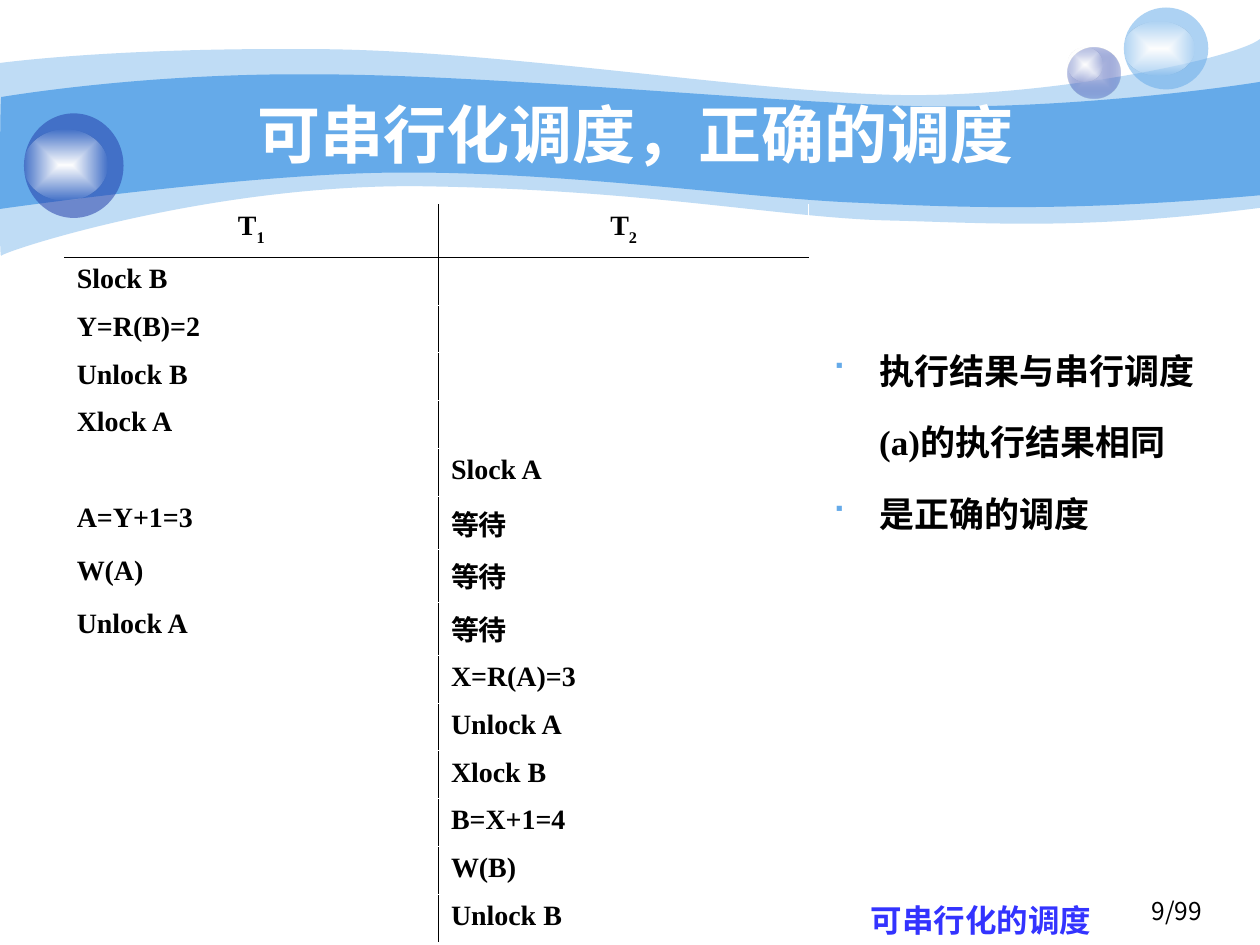
from lxml import etree
from pptx import Presentation
from pptx import util as u
from pptx.dml.color import RGBColor
from pptx.enum import shapes, text
from pptx.oxml import parse_xml
from pptx.oxml import ns

SKY = RGBColor(0x65, 0xAA, 0xE9)
NAVY = RGBColor(0x23, 0x3D, 0xA9)
LAVENDER = RGBColor(0xC7, 0xCE, 0xE9)
BLUE = RGBColor(0x33, 0x33, 0xFF)
BLACK = RGBColor(0, 0, 0)
WHITE = RGBColor(0xFF, 0xFF, 0xFF)

SERIF, SANS, CJK = "Times New Roman", "Arial", "Noto Sans CJK SC"
INDENT = u.Inches(0.38)
UNITS = 100  # freeform units per inch

# Each band: start point, then cubic curves (two controls and an end) or line ends.
OUTER_BAND = [
    (0, 0.5),
    (0.24, 0.47, 1.07, 0.38, 2.47, 0.39), (3.86, 0.39, 5.75, 0.7, 6.99, 0.75),
    (8.22, 0.8, 9.8, 0.47, 10, 0.31), (10, 1.65),
    (8.58, 1.83, 7.87, 1.77, 7.05, 1.75), (6.22, 1.73, 5.15, 1.51, 3.43, 1.48),
    (1.72, 1.44, 0.04, 1.99, 0.01, 2.03), (-0.01, 2.08, 0, 0.75, 0, 0.5),
]
INNER_BAND = [
    (0.01, 0.77),
    (0.02, 0.77, 1.1, 0.58, 2.48, 0.59), (3.86, 0.59, 5.95, 0.8, 7.18, 0.84),
    (8.41, 0.88, 9.76, 0.69, 10, 0.65), (10, 1.55),
    (8.53, 1.68, 7.65, 1.65, 6.82, 1.61), (5.99, 1.58, 4.47, 1.36, 3.17, 1.37),
    (2.03, 1.37, -0.02, 1.66, -0.01, 1.66), (0, 1.66, 0, 0.77, 0.01, 0.77),
]
SCHEDULE = [
    ("Slock B", ""), ("Y=R(B)=2", ""), ("Unlock B", ""), ("Xlock A", ""),
    ("", "Slock A"), ("A=Y+1=3", "等待"), ("W(A)", "等待"), ("Unlock A", "等待"),
    ("", "X=R(A)=3"), ("", "Unlock A"), ("", "Xlock B"), ("", "B=X+1=4"),
    ("", "W(B)"), ("", "Unlock B"),
]


class SlideBuilder:
    def __init__(self, slide):
        self.slide = slide

    def fill(self, shape, color, alpha=100):
        shape.shadow.inherit = False
        shape.line.fill.background()
        shape.fill.solid()
        shape.fill.fore_color.rgb = color
        if alpha < 100:
            solid = shape.element.spPr.find(ns.qn("a:solidFill"))
            etree.SubElement(solid[0], ns.qn("a:alpha")).set("val", str(alpha * 1000))

    def glow(self, shape, center, edge, edge_alpha):
        """Fill from the centre outwards, fading to a transparent edge."""
        self.fill(shape, center)
        solid = shape.element.spPr.find(ns.qn("a:solidFill"))
        solid.getparent().replace(solid, parse_xml(
            f'<a:gradFill {ns.nsdecls("a")} rotWithShape="1"><a:gsLst>'
            f'<a:gs pos="0"><a:srgbClr val="{center}"/></a:gs>'
            f'<a:gs pos="100000"><a:srgbClr val="{edge}">'
            f'<a:alpha val="{edge_alpha * 1000}"/></a:srgbClr></a:gs></a:gsLst>'
            '<a:path path="rect"><a:fillToRect l="50000" t="50000" r="50000" b="50000"/>'
            '</a:path></a:gradFill>'))

    def band(self, segments, alpha=100):
        """Build the outline from its end points, then bend the lines into curves."""
        scaled = [[round(value * UNITS) for value in segment] for segment in segments]
        ends = [segment[-2:] for segment in scaled]
        left, top = (min(values) for values in zip(*ends))
        builder = self.slide.shapes.build_freeform(*ends[0], scale=u.Inches(1) / UNITS)
        builder.add_line_segments(ends[1:], close=True)
        shape = builder.convert_to_shape()
        lines = list(shape.element.spPr.iter(ns.qn("a:lnTo")))
        for line, segment in zip(lines, scaled[1:]):
            if len(segment) == 6:
                points = "".join(f'<a:pt x="{x - left}" y="{y - top}"/>'
                                 for x, y in zip(segment[::2], segment[1::2]))
                line.getparent().replace(line, parse_xml(
                    f'<a:cubicBezTo {ns.nsdecls("a")}>{points}</a:cubicBezTo>'))
        self.fill(shape, SKY, alpha)

    def sphere(self, body, shine, color, alpha, center=None):
        group = self.slide.shapes.add_group_shape()
        ball, light = (group.shapes.add_shape(shapes.MSO_SHAPE.OVAL, *map(u.Inches, box))
                       for box in (body, shine))
        if center is None:
            self.fill(ball, color, alpha)
        else:
            self.glow(ball, center, color, alpha)
        self.glow(light, WHITE, WHITE, 0)

    def style(self, paragraph, size, font=SERIF, color=BLACK, bold=True, align=None):
        paragraph.alignment = align
        paragraph.font.size = u.Pt(size)
        paragraph.font.name = font
        paragraph.font.bold = bold
        paragraph.font.color.rgb = color
        latin = paragraph.font._element.find(ns.qn("a:latin"))
        east_asian = etree.Element(ns.qn("a:ea"))
        east_asian.set("typeface", CJK)
        latin.addnext(east_asian)

    def hang(self, paragraph):
        properties = paragraph._p.get_or_add_pPr()
        properties.set("marL", str(INDENT))
        properties.set("indent", str(-INDENT))
        return properties

    def text_box(self, box, lines, size, wrap=True, anchor=None, bullet=False,
                 hanging=False, **style):
        frame = self.slide.shapes.add_textbox(*map(u.Inches, box)).text_frame
        frame.word_wrap = wrap
        frame.vertical_anchor = anchor
        frame.text = "\n".join(lines)
        for paragraph in frame.paragraphs:
            if hanging or bullet:
                properties = self.hang(paragraph)
            if bullet:
                paragraph.line_spacing = 1.7
                color = etree.SubElement(properties, ns.qn("a:buClr"))
                etree.SubElement(color, ns.qn("a:srgbClr")).set("val", str(SKY))
                etree.SubElement(properties, ns.qn("a:buFont")).set("typeface", "Wingdings")
                etree.SubElement(properties, ns.qn("a:buChar")).set("char", "■")
            self.style(paragraph, size, **style)

    def borders(self, cell, **colors):
        """Draw the named sides (L, R, T, B) and clear the others."""
        properties = cell._tc.get_or_add_tcPr()
        for index, side in enumerate("LRTB"):
            color = colors.get(side)
            paint = (f'<a:solidFill><a:srgbClr val="{color}"/></a:solidFill>'
                     if color is not None else "<a:noFill/>")
            properties.insert(index, parse_xml(
                f'<a:ln{side} {ns.nsdecls("a")} w="{u.Pt(0.45)}">{paint}</a:ln{side}>'))

    def schedule_table(self, left, top, widths, rows):
        heights = [0.42] + [0.42 if "等待" in row else 0.38 for row in rows]
        table = self.slide.shapes.add_table(
            len(heights), len(widths), *map(u.Inches, (left, top, sum(widths), sum(heights)))
        ).table
        table.first_row = table.horz_banding = False
        for column, width in zip(table.columns, widths):
            column.width = u.Inches(width)
        for row, height in zip(table.rows, heights):
            row.height = u.Inches(height)
        for r, values in enumerate([("T", "T")] + rows):
            for c, value in enumerate(values):
                cell = table.cell(r, c)
                cell.fill.background()
                paragraph = cell.text_frame.paragraphs[0]
                self.hang(paragraph)
                if value:
                    paragraph.add_run().text = value
                if r == 0:
                    subscript = paragraph.add_run()
                    subscript.text = str(c + 1)
                    subscript.font._element.set("baseline", "-30000")
                self.style(paragraph, 16 if value else 12,
                           align=text.PP_ALIGN.CENTER if r == 0 else None)
                if not value:
                    end = etree.SubElement(paragraph._p, ns.qn("a:endParaRPr"))
                    end.set("sz", "1200")
                top_color = {0: None, 1: BLACK}.get(r, WHITE)
                sides = {"R": BLACK} if c == 0 else {"L": BLACK, "R": WHITE}
                self.borders(cell, T=top_color, B=WHITE if r else BLACK, **sides)


def main():
    presentation = Presentation()
    presentation.slide_width, presentation.slide_height = u.Inches(10), u.Inches(7.5)
    builder = SlideBuilder(presentation.slides.add_slide(presentation.slide_layouts[6]))

    builder.band(OUTER_BAND, 41)
    builder.band(INNER_BAND)
    builder.sphere((8.47, 0.38, 0.42, 0.4), (8.47, 0.38, 0.28, 0.27), NAVY, 31, LAVENDER)
    builder.sphere((8.92, 0.06, 0.67, 0.65), (8.92, 0.17, 0.56, 0.43), SKY, 53)
    builder.sphere((0.19, 0.9, 0.79, 0.83), (0.19, 1.03, 0.66, 0.56), NAVY, 53)

    builder.text_box((7.31, 7.06, 2.33, 0.39), ["9/99"], 14, font=CJK, bold=False,
                     align=text.PP_ALIGN.RIGHT)
    builder.text_box((1, 0.75, 8.08, 0.62), ["可串行化调度，正确的调度"], 36, font=SANS,
                     color=WHITE, anchor=text.MSO_ANCHOR.MIDDLE, align=text.PP_ALIGN.CENTER)
    builder.schedule_table(0.51, 1.62, (2.97, 2.94), SCHEDULE)
    builder.text_box((6.44, 7.1, 2.75, 0.4), ["可串行化的调度 "], 18, wrap=False,
                     hanging=True, color=BLUE, align=text.PP_ALIGN.CENTER)
    builder.text_box((6.5, 2.49, 3.23, 1.8),
                     ["执行结果与串行调度(a)的执行结果相同", "是正确的调度"], 20, bullet=True)
    presentation.save("out.pptx")


if __name__ == "__main__":
    main()
